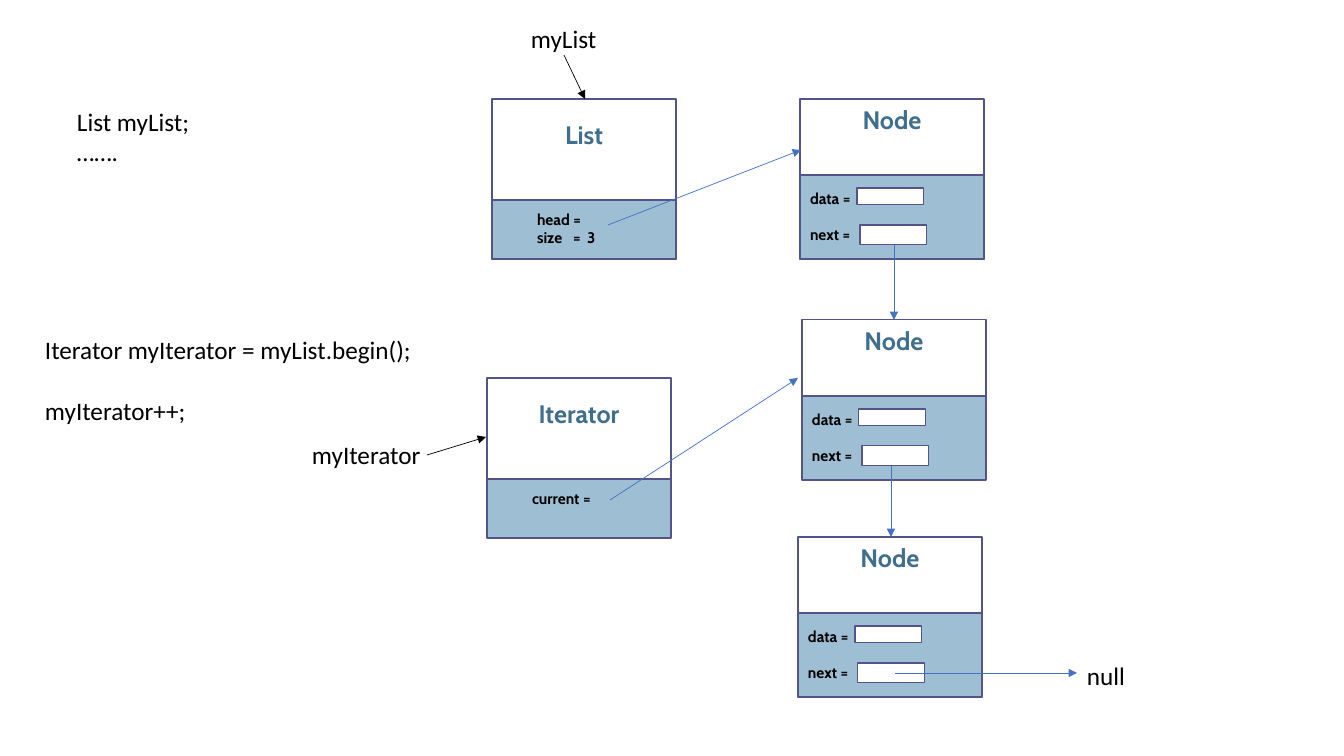
from lxml import etree
from pptx import Presentation, util as u
from pptx.dml.color import RGBColor
from pptx.enum import shapes, text
from pptx.oxml import ns

WHITE = RGBColor(0xFF, 0xFF, 0xFF)
BLACK = RGBColor(0, 0, 0)
EDGE = RGBColor(0x53, 0x54, 0x8A)
STEEL = RGBColor(0x9D, 0xBE, 0xD3)
TITLE = RGBColor(0x40, 0x6F, 0x8D)
LINK = RGBColor(0x44, 0x72, 0xC4)


def px(n):
    return u.Emu(round(n * 914400 / 100.8))


def write(frame, words, font="Calibri", size=18, color=BLACK, bold=False,
          align=text.PP_ALIGN.LEFT, wrap=True, left=10, top=5, gap=0, tabs=()):
    frame.word_wrap = wrap
    frame.vertical_anchor = text.MSO_ANCHOR.TOP
    frame.margin_left, frame.margin_top = px(left), px(top)
    frame.margin_right, frame.margin_bottom = px(10), px(5)
    frame.text = words
    for i, para in enumerate(frame.paragraphs):
        para.alignment = align
        if i and gap:
            para.space_before = px(gap)
        para.font.name, para.font.size = font, u.Pt(size)
        for run in para.runs:
            run.font.name, run.font.size = font, u.Pt(size)
            run.font.bold, run.font.color.rgb = bold, color
        if tabs:
            stops = etree.Element(ns.qn("a:tabLst"))
            for stop in tabs:
                etree.SubElement(stops, ns.qn("a:tab"), pos=str(px(stop)), algn="l")
            props = para._p.get_or_add_pPr()
            props.insert_element_before(stops, "a:defRPr", "a:extLst")


class Sketch:
    """Draws boxes, labels and arrows in one style on the current slide."""

    font = "Cabin"
    wide, high = 184, 160

    def __init__(self, slide):
        self.items = slide.shapes

    def rect(self, x, y, w, h, fill=WHITE):
        box = self.items.add_shape(shapes.MSO_SHAPE.RECTANGLE, px(x), px(y), px(w), px(h))
        box.shadow.inherit = False
        box.fill.solid()
        box.fill.fore_color.rgb = fill
        box.line.color.rgb, box.line.width = EDGE, u.Pt(0.79)
        return box

    def label(self, words, x, y, w, h, **form):
        box = self.items.add_textbox(px(x), px(y), px(w), px(h))
        write(box.text_frame, words, **form)

    def arrow(self, x1, y1, x2, y2, color=LINK):
        line = self.items.add_connector(
            shapes.MSO_CONNECTOR.STRAIGHT, px(x1), px(y1), px(x2), px(y2))
        line.line.color.rgb, line.line.width = color, u.Pt(0.5)
        etree.SubElement(line.line._get_or_add_ln(), ns.qn("a:tailEnd"), type="triangle")
        etree.SubElement(line._element.spPr, ns.qn("a:effectLst"))

    def card(self, name, fields, x, y, split, head, **form):
        box = self.rect(x, y, self.wide, self.high)
        write(box.text_frame, name, font=self.font, color=TITLE, bold=True,
              align=text.PP_ALIGN.CENTER, top=head)
        body = self.rect(x, y + split, self.wide, self.high - split, STEEL)
        write(body.text_frame, fields, font=self.font, size=11, bold=True, **form)

    def owner(self, name, fields, x, y):
        self.card(name, fields, x, y, 101, 20, left=45, top=10, tabs=(36, 50))

    def node(self, x, y):
        self.card("Node", "data =\nnext =", x, y, 76, 5, top=14, gap=18)
        self.rect(x + 57, y + 89, 67, 17)
        self.rect(x + 60, y + 126, 67, 20)


deck = Presentation()
deck.slide_width, deck.slide_height = px(1344), px(756)
draw = Sketch(deck.slides.add_slide(deck.slide_layouts[6]))

for x, y in ((800, 99), (802, 320), (798, 537)):
    draw.node(x, y)
draw.owner("List", "head =\nsize\t=\t3", 492, 99)
draw.owner("Iterator", "current =", 487, 378)

draw.label("List myList;\n\u2026\u2026.", 67, 101, 397, 132)
draw.label("Iterator myIterator = myList.begin();\nmyIterator++;", 35, 329, 397, 163, gap=31)
for word, x, y, w in (("myList", 521, 18, 87), ("myIterator", 302, 434, 130),
                      ("null", 1077, 655, 58)):
    draw.label(word, x, y, w, 40, wrap=False)

for ends in ((894, 245, 894, 320), (891, 466, 891, 537), (895, 673, 1077, 673),
             (608, 225, 801, 150), (610, 500, 798, 378)):
    draw.arrow(*ends)
for ends in ((564, 55, 585, 99), (427, 455, 486, 437)):
    draw.arrow(*ends, color=BLACK)

deck.save("out.pptx")
